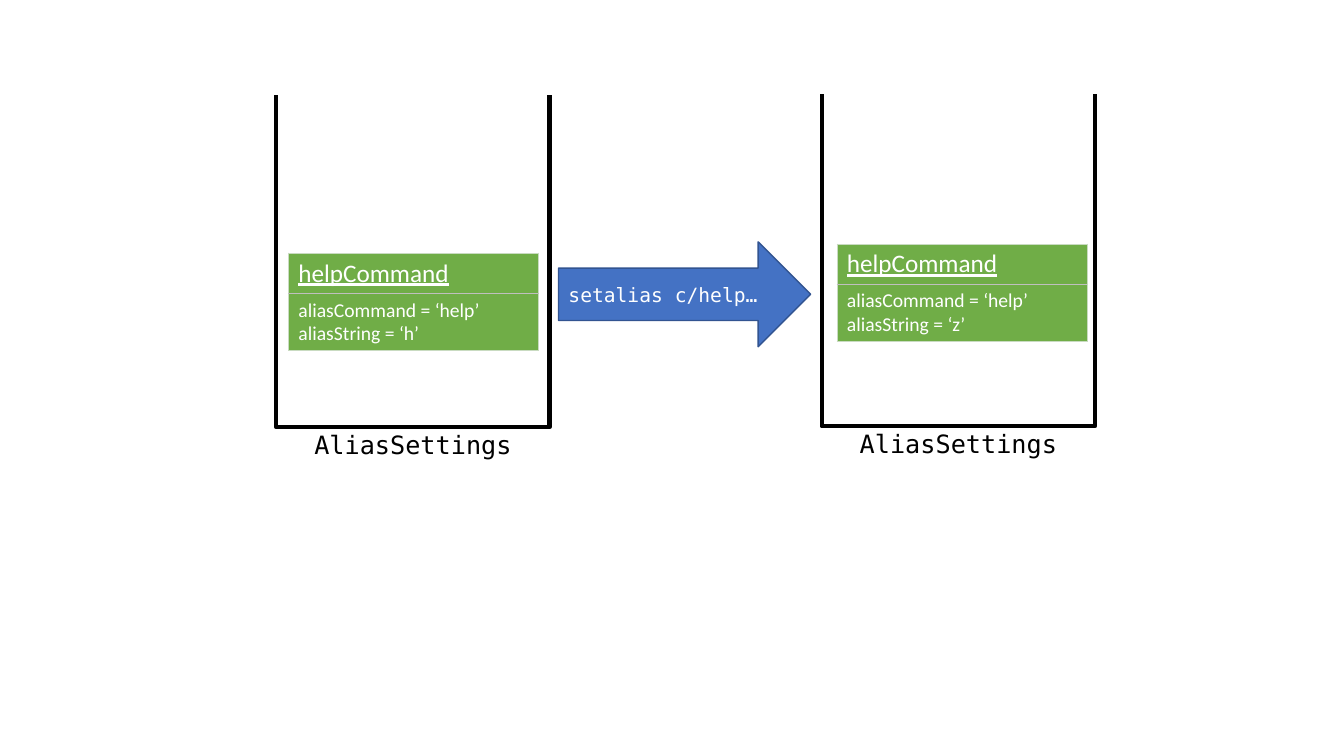
from dataclasses import dataclass

from lxml.etree import SubElement as Sub
from pptx import Presentation
from pptx.dml.color import RGBColor as Rgb
from pptx.enum.shapes import MSO_SHAPE as Kind
from pptx.enum.text import MSO_ANCHOR as Anchor, PP_ALIGN as Align
from pptx.oxml.ns import qn
from pptx.util import Emu, Pt


@dataclass(frozen=True)
class Theme:
    white: str = "FFFFFF"
    black: str = "000000"
    blue: str = "4472C4"
    navy: str = "325491"
    green: str = "70AD47"
    pale: str = "C9DBC1"
    grey: str = "BFBFBF"
    sans: str = "Calibri"
    mono: str = "DejaVu Sans Mono"
    big: int = 18
    small: int = 14


LOOK = Theme()
SCALE = 9144


def px(*nums):
    return [Emu(n * SCALE) for n in nums]


def write(frame, text, font=LOOK.sans, size=LOOK.big, color=LOOK.white,
          align=Align.LEFT, under=False):
    frame.word_wrap = True
    for i, line in enumerate(text.split("\n")):
        par = frame.paragraphs[0] if i == 0 else frame.add_paragraph()
        par.alignment = align
        run = par.add_run()
        run.text = line
        run.font.name = font
        run.font.size = Pt(size)
        run.font.color.rgb = Rgb.from_string(color)
        run.font.underline = under


def shape(shapes, kind, box, fill, line, width=1):
    item = shapes.add_shape(kind, *px(*box))
    item.shadow.inherit = False
    item.fill.solid()
    item.fill.fore_color.rgb = Rgb.from_string(fill)
    item.line.color.rgb = Rgb.from_string(line)
    item.line.width = Pt(width)
    return item


def border(cell, **sides):
    props = cell._tc.get_or_add_tcPr()
    for side in "LRTB":
        color, width = sides.get(side, (LOOK.pale, 0.5))
        edge = Sub(props, qn(f"a:ln{side}"), w=str(Pt(width)))
        Sub(Sub(edge, qn("a:solidFill")), qn("a:srgbClr"), val=color)


def card(slide, x, y, alias):
    heads = (40, 57)
    table = slide.shapes.add_table(2, 1, *px(x, y, 248, sum(heads))).table
    table.columns[0].width = px(248)[0]
    for row, high in zip(table.rows, px(*heads)):
        row.height = high
    top, low = table.cell(0, 0), table.cell(1, 0)
    rule = (LOOK.grey, 1)
    border(top, B=rule)
    border(low, T=rule)
    for cell in (top, low):
        cell.fill.solid()
        cell.fill.fore_color.rgb = Rgb.from_string(LOOK.green)
    write(top.text_frame, "helpCommand", under=True)
    write(low.text_frame, f"aliasCommand = ‘help’\naliasString = ‘{alias}’",
          size=LOOK.small)


def store(slide, x, y, inset, drop, alias):
    group = slide.shapes.add_group_shape()
    shape(group.shapes, Kind.RECTANGLE, (x, y, 271, 356),
          LOOK.white, LOOK.black, 3)
    shape(group.shapes, Kind.RECTANGLE, (x - 23, y - 17, 311, 43),
          LOOK.white, LOOK.white)
    label = slide.shapes.add_textbox(*px(x + 1, y + 353, 269, 40))
    write(label.text_frame, "AliasSettings", font=LOOK.mono,
          color=LOOK.black, align=Align.CENTER)
    card(slide, x + inset, y + drop, alias)


def arrow(slide, box):
    item = shape(slide.shapes, Kind.RIGHT_ARROW, box, LOOK.blue, LOOK.navy)
    item.text_frame.vertical_anchor = Anchor.MIDDLE
    write(item.text_frame, "setalias c/help…", font=LOOK.mono,
          size=LOOK.small)


def main():
    deck = Presentation()
    deck.slide_width, deck.slide_height = px(1333, 750)
    slide = deck.slides.add_slide(deck.slide_layouts[6])
    arrow(slide, (554, 240, 250, 104))
    store(slide, 274, 68, 12, 183, "h")
    store(slide, 815, 67, 15, 175, "z")
    deck.save("out.pptx")


if __name__ == "__main__":
    main()
